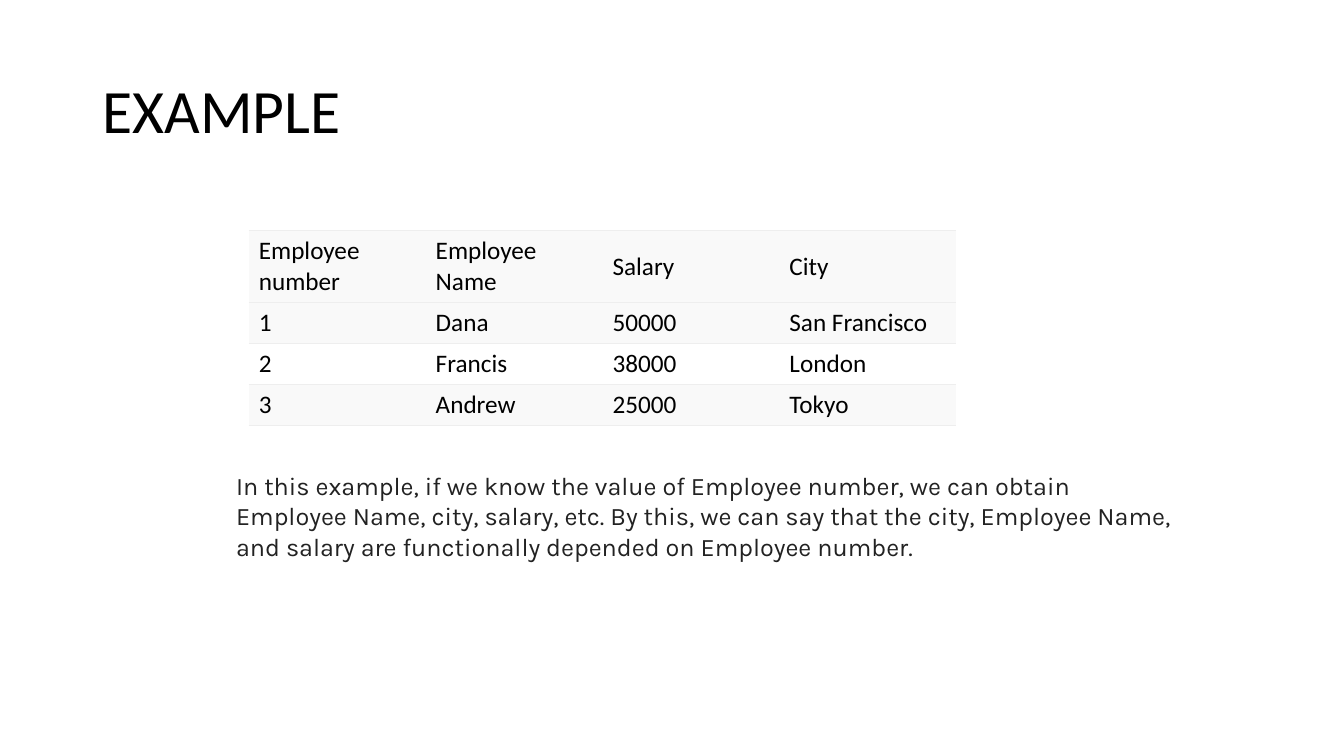
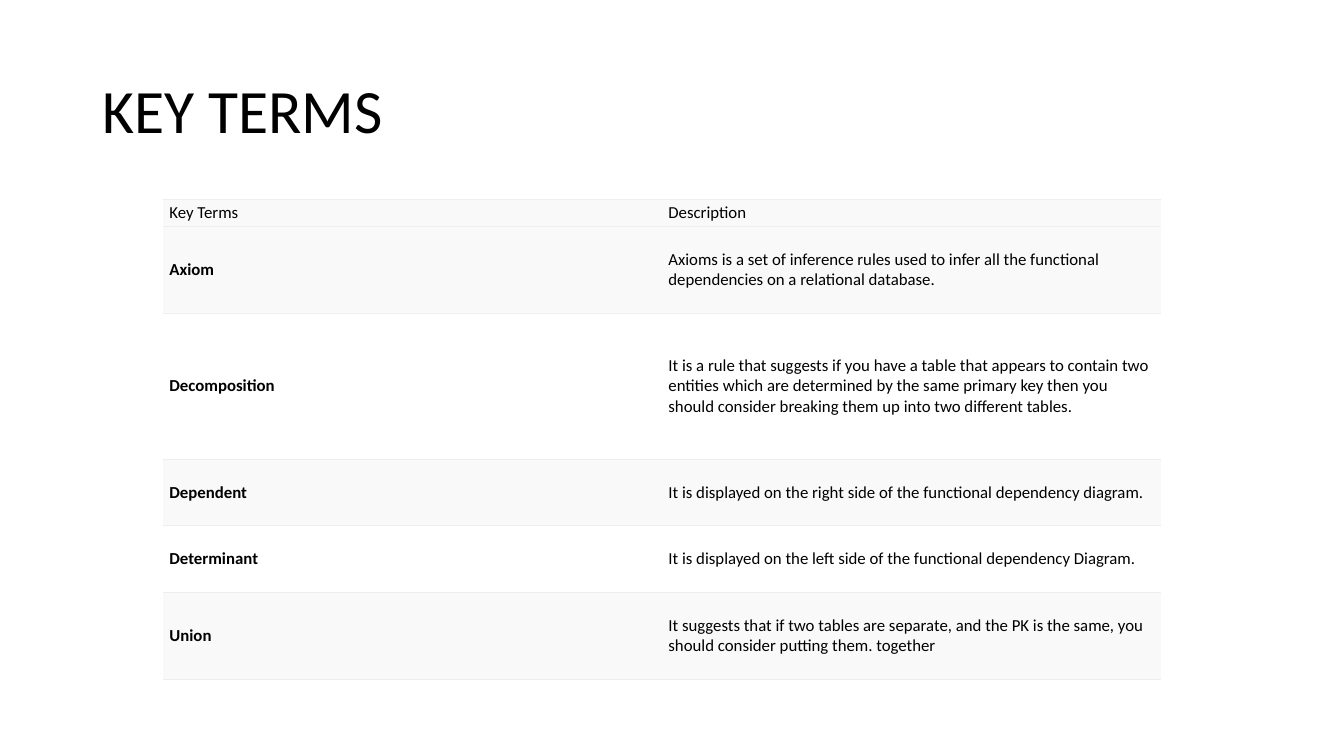
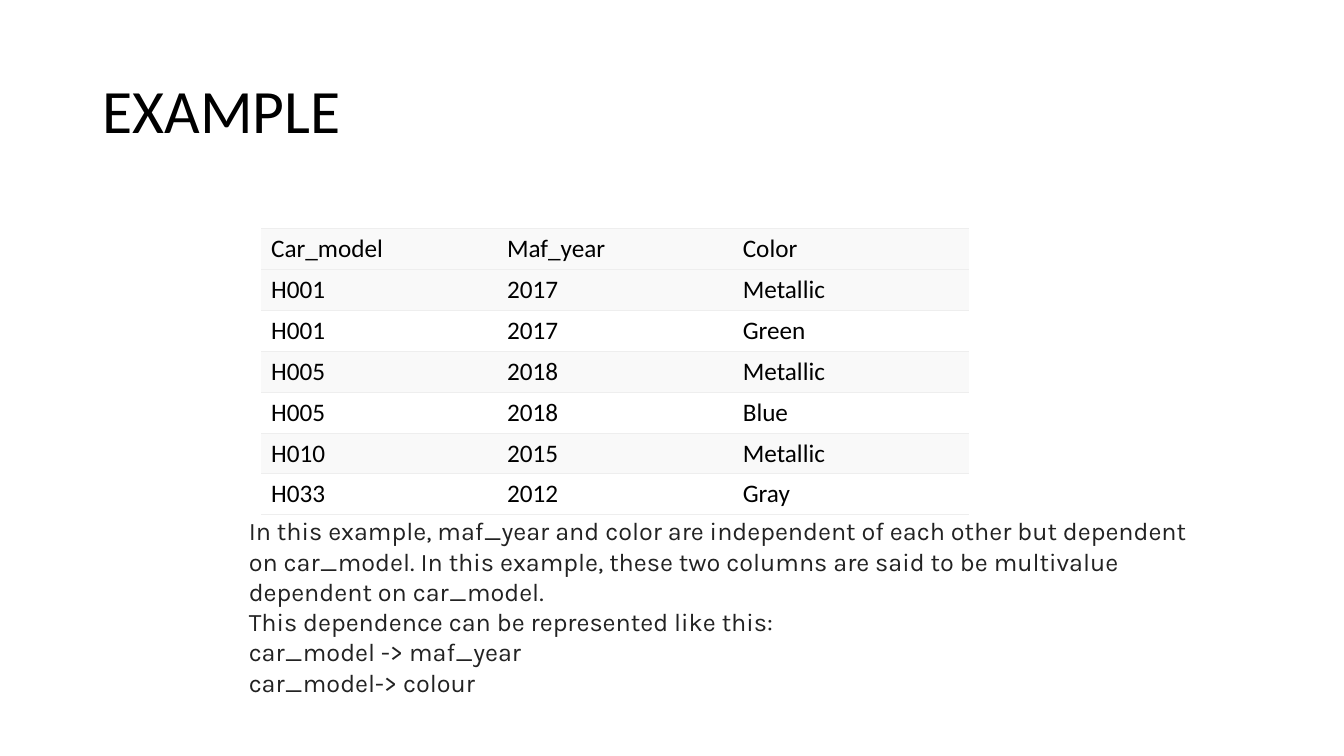
from lxml import etree
from pptx import Presentation
from pptx.dml.color import RGBColor
from pptx.enum.text import MSO_ANCHOR, MSO_AUTO_SIZE, PP_ALIGN
from pptx.oxml.ns import qn
from pptx.util import Cm, Pt

MIDDLE = MSO_ANCHOR.MIDDLE
NO_FIT, GROW = MSO_AUTO_SIZE.NONE, MSO_AUTO_SIZE.SHAPE_TO_FIT_TEXT
LEFT = PP_ALIGN.LEFT

BLACK = RGBColor(0x00, 0x00, 0x00)
INK = RGBColor(0x22, 0x22, 0x22)
WHITE = RGBColor(0xFF, 0xFF, 0xFF)
BAND = RGBColor(0xF9, 0xF9, 0xF9)
RULE = RGBColor(0xEE, 0xEE, 0xEE)

TITLE_ONLY = 5
TITLE_BOX = (2.33, 1.01, 29.21, 3.68)
ROW = 1.03  # height of a one-line table row at 18 pt


def write(p, text, size=18, font="Calibri", color=BLACK, bold=False, spacing=None):
    """Add formatted, left-aligned text to a paragraph."""
    p.alignment = LEFT
    if spacing:
        p.line_spacing = spacing
    r = p.add_run()
    r.text = text
    r.font.size, r.font.name, r.font.bold = Pt(size), font, bold
    r.font.color.rgb = color


def add_title_slide(prs, title):
    s = prs.slides.add_slide(prs.slide_layouts[TITLE_ONLY])
    sp = s.shapes.title
    sp.left, sp.top, sp.width, sp.height = map(Cm, TITLE_BOX)
    tf = sp.text_frame
    tf.word_wrap, tf.auto_size, tf.vertical_anchor = True, NO_FIT, MIDDLE
    write(tf.paragraphs[0], title, size=44, spacing=0.9)
    return s


def rule_cell(cell):
    """Draw thin rules above and below a cell and none at its sides."""
    tc_pr = cell._tc.get_or_add_tcPr()
    for side in ("lnL", "lnR", "lnT", "lnB"):
        ln = etree.SubElement(tc_pr, qn(f"a:{side}"), w=str(Pt(0.6)))
        if side in ("lnL", "lnR"):
            etree.SubElement(ln, qn("a:noFill"))
        else:
            fill = etree.SubElement(ln, qn("a:solidFill"))
            etree.SubElement(fill, qn("a:srgbClr"), val=str(RULE))


def add_striped_table(s, left, top, width, heights, rows, size=18,
                      margins=None, bold_terms=False):
    """Place a table of equal columns; the header and odd rows are shaded."""
    n_cols = len(rows[0])
    frame = s.shapes.add_table(len(rows), n_cols, Cm(left), Cm(top),
                               Cm(width), Cm(sum(heights)))
    table = frame.table
    table.first_row = table.horz_banding = False
    for i, (height, texts) in enumerate(zip(heights, rows)):
        table.rows[i].height = Cm(height)
        for j, text in enumerate(texts):
            cell = table.cell(i, j)
            if margins:
                side, edge = map(Cm, margins)
                cell.margin_left = cell.margin_right = side
                cell.margin_top = cell.margin_bottom = edge
            cell.vertical_anchor = MIDDLE
            rule_cell(cell)
            cell.fill.solid()
            cell.fill.fore_color.rgb = BAND if i == 0 or i % 2 else WHITE
            write(cell.text_frame.paragraphs[0], text, size=size,
                  bold=bold_terms and i > 0 and j == 0)


def add_explanation(s, left, top, width, height, lines):
    tf = s.shapes.add_textbox(Cm(left), Cm(top), Cm(width), Cm(height)).text_frame
    tf.word_wrap, tf.auto_size = True, GROW
    for i, line in enumerate(lines):
        p = tf.add_paragraph() if i else tf.paragraphs[0]
        write(p, line, font="Karla", color=INK)


def employee_slide(prs):
    s = add_title_slide(prs, "EXAMPLE")
    add_striped_table(s, 6.27, 5.81, 17.83, [1.82] + [ROW] * 3, [
        ("Employee number", "Employee Name", "Salary", "City"),
        ("1", "Dana", "50000", "San Francisco"),
        ("2", "Francis", "38000", "London"),
        ("3", "Andrew", "25000", "Tokyo"),
    ])
    add_explanation(s, 5.7, 11.73, 24.33, 2.57, [
        "In this example, if we know the value of Employee number, we can obtain "
        "Employee Name, city, salary, etc. By this, we can say that the city, "
        "Employee Name, and salary are functionally depended on Employee number.",
    ])


def key_terms_slide(prs):
    s = add_title_slide(prs, "KEY TERMS")
    heights = [0.67, 2.19, 3.68, 1.68, 1.68, 2.19]
    add_striped_table(s, 4.1, 5.02, 25.15, heights, [
        ("Key Terms", "Description"),
        ("Axiom", "Axioms is a set of inference rules used to infer all the "
                  "functional dependencies on a relational database."),
        ("Decomposition", "It is a rule that suggests if you have a table that "
                          "appears to contain two entities which are determined by "
                          "the same primary key then you should consider breaking "
                          "them up into two different tables."),
        ("Dependent", "It is displayed on the right side of the functional "
                      "dependency diagram."),
        ("Determinant", "It is displayed on the left side of the functional "
                        "dependency Diagram."),
        ("Union", "It suggests that if two tables are separate, and the PK is the "
                  "same, you should consider putting them. together"),
    ], size=12, margins=(0.17, 0.08), bold_terms=True)


def car_slide(prs):
    s = add_title_slide(prs, "EXAMPLE")
    rows = [
        ("Car_model", "Maf_year", "Color"),
        ("H001", "2017", "Metallic"),
        ("H001", "2017", "Green"),
        ("H005", "2018", "Metallic"),
        ("H005", "2018", "Blue"),
        ("H010", "2015", "Metallic"),
        ("H033", "2012", "Gray"),
    ]
    add_striped_table(s, 6.58, 5.76, 17.83, [ROW] * len(rows), rows)
    add_explanation(s, 6.02, 12.87, 24.26, 4.88, [
        "In this example, maf_year and color are independent of each other but "
        "dependent on car_model. In this example, these two columns are said to be "
        "multivalue dependent on car_model.",
        "This dependence can be represented like this:",
        "car_model -> maf_year",
        "car_model-> colour",
    ])


def main():
    prs = Presentation()
    prs.slide_width, prs.slide_height = Cm(33.87), Cm(19.05)
    employee_slide(prs)
    key_terms_slide(prs)
    car_slide(prs)
    prs.save("out.pptx")


if __name__ == "__main__":
    main()
